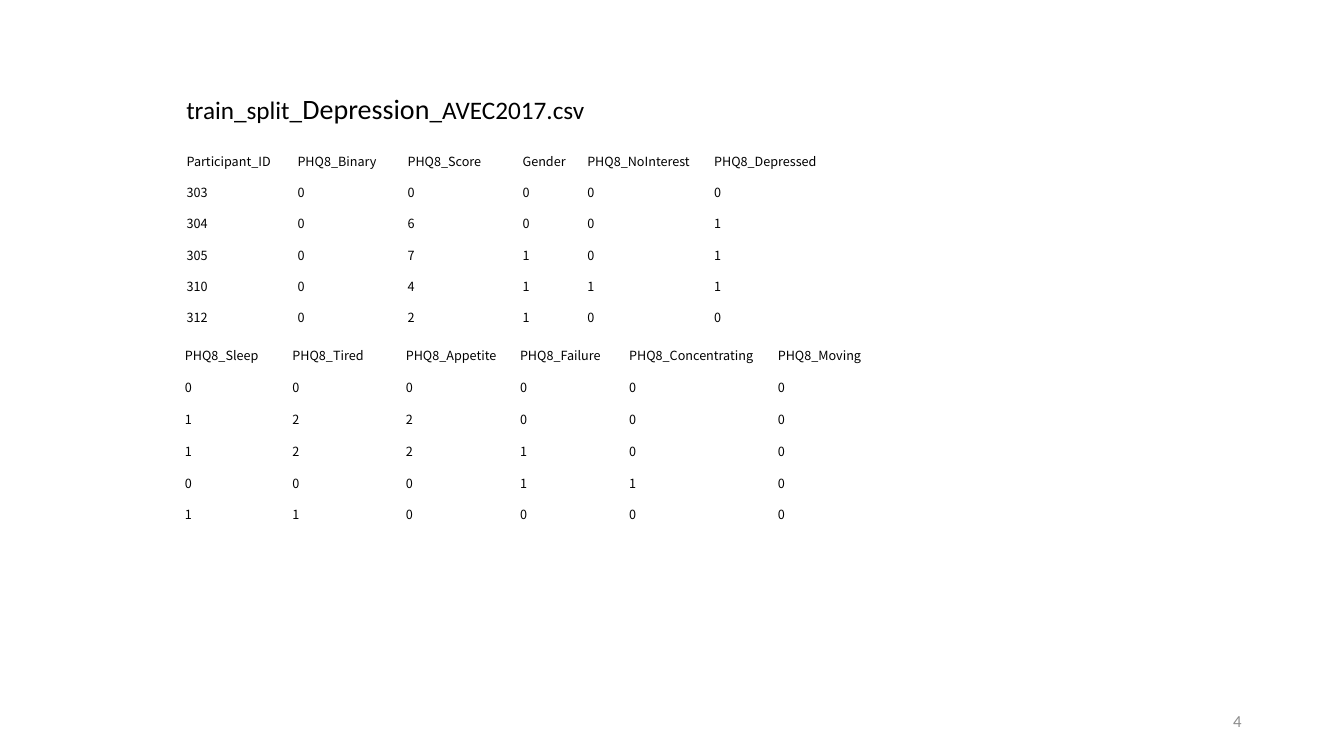
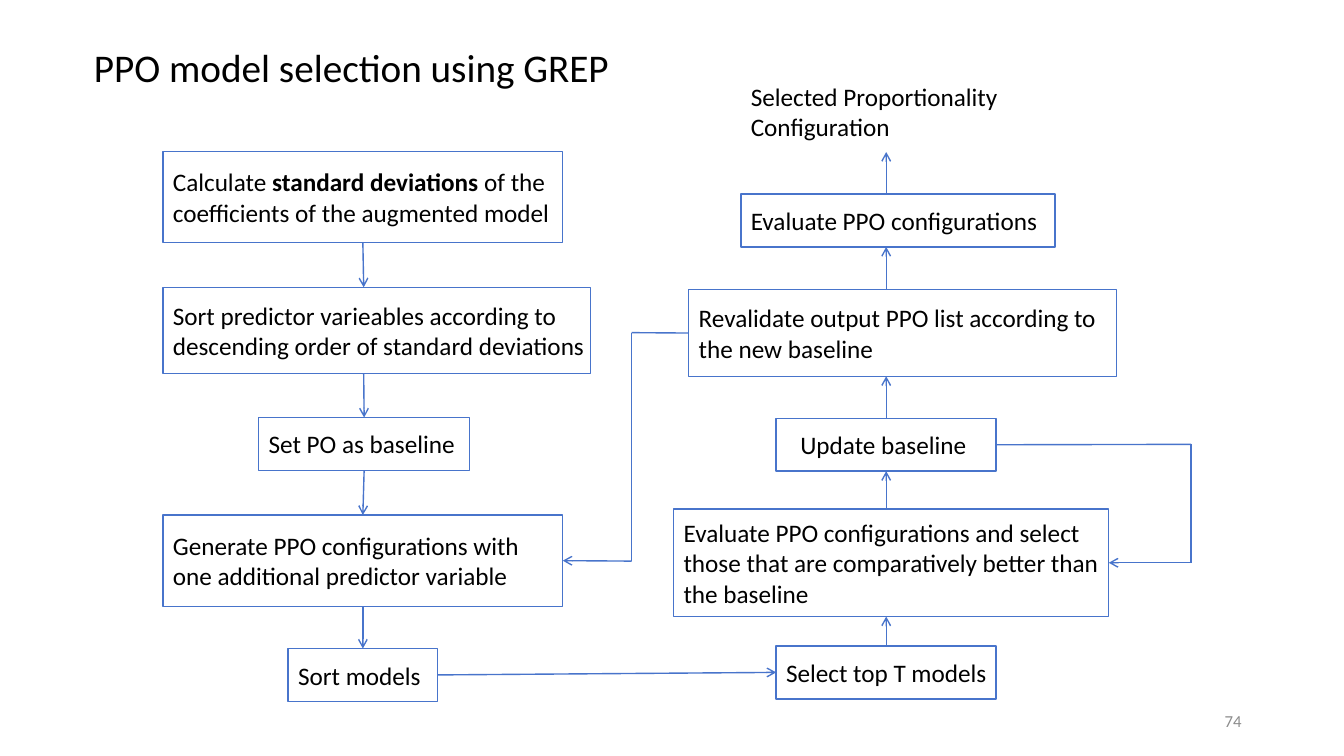
"""Build two slides: a sample of the data table and the model selection flow."""
from dataclasses import dataclass
from itertools import pairwise

from lxml import etree
from pptx import Presentation
from pptx.dml.color import RGBColor
from pptx.enum.shapes import MSO_CONNECTOR, MSO_SHAPE
from pptx.enum.text import MSO_ANCHOR, PP_ALIGN
from pptx.oxml.ns import qn
from pptx.util import Inches, Pt

RECT, STRAIGHT = MSO_SHAPE.RECTANGLE, MSO_CONNECTOR.STRAIGHT
TOP, MID = MSO_ANCHOR.TOP, MSO_ANCHOR.MIDDLE
LEFT, RIGHT = PP_ALIGN.LEFT, PP_ALIGN.RIGHT
NORTH, WEST, SOUTH, EAST = range(4)
PLAIN = "{2D5ABB26-0587-4C30-8999-92F81FD0307C}"


@dataclass(frozen=True)
class Theme:
    ink: RGBColor = RGBColor.from_string("000000")
    gray: RGBColor = RGBColor.from_string("8C8C8C")
    blue: RGBColor = RGBColor.from_string("4874CB")
    face: str = "Calibri"
    grid: str = "Noto Sans CJK SC"
    head: int = 28
    large: int = 20
    body: int = 18
    foot: int = 12
    small: int = 9


T = Theme()
deck = Presentation()
deck.slide_width, deck.slide_height = Inches(13.33), Inches(7.5)
COL, ROW = deck.slide_width / 160, deck.slide_height / 90


def place(x, y, *size):
    """Turn grid columns and rows into lengths."""
    pairs = zip((x, y, *size), (COL, ROW) * 2)
    return [round(count * unit) for count, unit in pairs]


def write(frame, *runs, size=T.body, color=T.ink, face=T.face, align=LEFT,
          anchor=TOP, pad=(0.1, 0.05, 0.1, 0.05)):
    """Fill a text frame or cell; a run is text or (text, size, bold)."""
    frame.vertical_anchor = anchor
    frame.word_wrap = True
    (frame.margin_left, frame.margin_top,
     frame.margin_right, frame.margin_bottom) = map(Inches, pad)
    block = getattr(frame, "text_frame", frame).paragraphs[0]
    block.alignment = align
    for item in runs:
        text, points, bold = (item, size, False) if isinstance(item, str) else item
        run = block.add_run()
        run.text = text
        run.font.size, run.font.bold = Pt(points), bold
        run.font.name, run.font.color.rgb = face, color


pages = [
    ("4", (21, 10.3, 57.7, 5.3), T.body,
     ["train_split_", ("Depression", T.large, False), "_AVEC2017.csv"]),
    ("74", (10, 4.6, 65.2, 6.8), T.head, ["PPO model selection using GREP"]),
]
slides = []
for number, spot, size, title in pages:
    slide = deck.slides.add_slide(deck.slide_layouts[6])
    write(slide.shapes.add_textbox(*place(*spot)).text_frame, *title, size=size)
    write(slide.shapes.add_textbox(*place(113, 83.4, 36, 4.8)).text_frame, number,
          size=T.foot, color=T.gray, align=RIGHT, anchor=MID)
    slides.append(slide)
data, flow = slides

tables = [
    (22.1, 17.6, 3.7, [13.2, 13.1, 13.7, 7.7, 15.1, 15],
     """Participant_ID PHQ8_Binary PHQ8_Score Gender PHQ8_NoInterest PHQ8_Depressed
     303 0 0 0 0 0
     304 0 6 0 0 1
     305 0 7 1 0 1
     310 0 4 1 1 1
     312 0 2 1 0 0"""),
    (21.9, 40.6, 3.8, [12.8, 13.5, 13.6, 13, 17.7, 13],
     """PHQ8_Sleep PHQ8_Tired PHQ8_Appetite PHQ8_Failure PHQ8_Concentrating PHQ8_Moving
     0 0 0 0 0 0
     1 2 2 0 0 0
     1 2 2 1 0 0
     0 0 0 1 1 0
     1 1 0 0 0 0"""),
]
for x, y, high, widths, source in tables:
    rows = [line.split() for line in source.splitlines()]
    spot = place(x, y, sum(widths), high * len(rows))
    table = data.shapes.add_table(len(rows), len(widths), *spot).table
    table._tbl.tblPr.find(qn("a:tableStyleId")).text = PLAIN
    table.first_row = table.horz_banding = False
    for column, width in zip(table.columns, widths):
        column.width = round(width * COL)
    for r, row in enumerate(rows):
        table.rows[r].height = round(high * ROW)
        for c, value in enumerate(row):
            cell = table.cell(r, c)
            cell.fill.background()
            write(cell, value, size=T.small, face=T.grid, anchor=MID,
                  pad=(0.01, 0.01, 0.01, 0.05))

write(flow.shapes.add_textbox(*place(88.2, 9.1, 40.3, 8.5)).text_frame,
      "Selected Proportionality Configuration")

steps = {
    "spread": (19.4, 18, 47.6, 10.9, "Calculate ", ("standard deviations", T.body, True),
               " of the coefficients of the augmented model"),
    "sort": (19.4, 34.2, 50.9, 10.3, "Sort predictor varieables according to "
             "descending order of standard deviations"),
    "base": (30.8, 49.7, 25.1, 6.3, "Set PO as baseline"),
    "make": (19.4, 61.3, 47.6, 10.9, "Generate PPO configurations with "
             "one additional predictor variable"),
    "models": (34.3, 77.2, 17.8, 6.3, "Sort models"),
    "top": (92.4, 76.9, 26.2, 6.3, "Select top T models"),
    "better": (80.2, 60.6, 51.8, 12.8, "Evaluate PPO configurations and select "
               "those that are comparatively better than the baseline"),
    "update": (92.4, 49.8, 26.2, 6.3, "Update baseline"),
    "check": (82, 34.5, 50.9, 10.3, "Revalidate output PPO list according to "
              "the new baseline"),
    "final": (88.2, 23.1, 37.4, 6.3, "Evaluate PPO configurations"),
}
boxes = {}
for name, (x, y, wide, high, *runs) in steps.items():
    box = flow.shapes.add_shape(RECT, *place(x, y, wide, high))
    box.shadow.inherit = False
    box.fill.background()
    box.line.color.rgb, box.line.width = T.blue, Pt(1)
    inset = 0.24 if name == "update" else 0.1
    write(box.text_frame, *runs, anchor=MID, pad=(inset, 0.05, 0.04, 0.05))
    boxes[name] = box

DOWN, UP = 43.3, 105.5
routes = [
    [("spread", SOUTH), (DOWN, 34.2)],
    [(DOWN, 44.5), ("base", NORTH)],
    [("base", SOUTH), ("make", NORTH)],
    [("make", SOUTH), ("models", NORTH)],
    [("models", EAST), ("top", WEST)],
    [("top", NORTH), (UP, 73.4)],
    [(UP, 60.6), ("update", SOUTH)],
    [("update", NORTH), (UP, 44.8)],
    [(UP, 34.5), (UP, 29.4)],
    [(UP, 23.1), (UP, 18.1)],
    [("update", EAST), (141.8, 52.9), (141.8, 67), ("better", EAST)],
    [("check", WEST), (75.2, 39.6), (75.2, 66.8), ("make", EAST)],
]
for route in routes:
    for ends in pairwise(route):
        spots = [(0, 0) if end[0] in boxes else place(*end) for end in ends]
        link = flow.shapes.add_connector(STRAIGHT, *spots[0], *spots[1])
        for end, join in zip(ends, (link.begin_connect, link.end_connect)):
            if end[0] in boxes:
                join(boxes[end[0]], end[1])
        link.line.color.rgb, link.line.width = T.blue, Pt(1)
        props = link._element.spPr
        if ends[1] is route[-1]:
            etree.SubElement(props.find(qn("a:ln")), qn("a:tailEnd"), type="arrow")
        etree.SubElement(props, qn("a:effectLst"))

deck.save("out.pptx")
